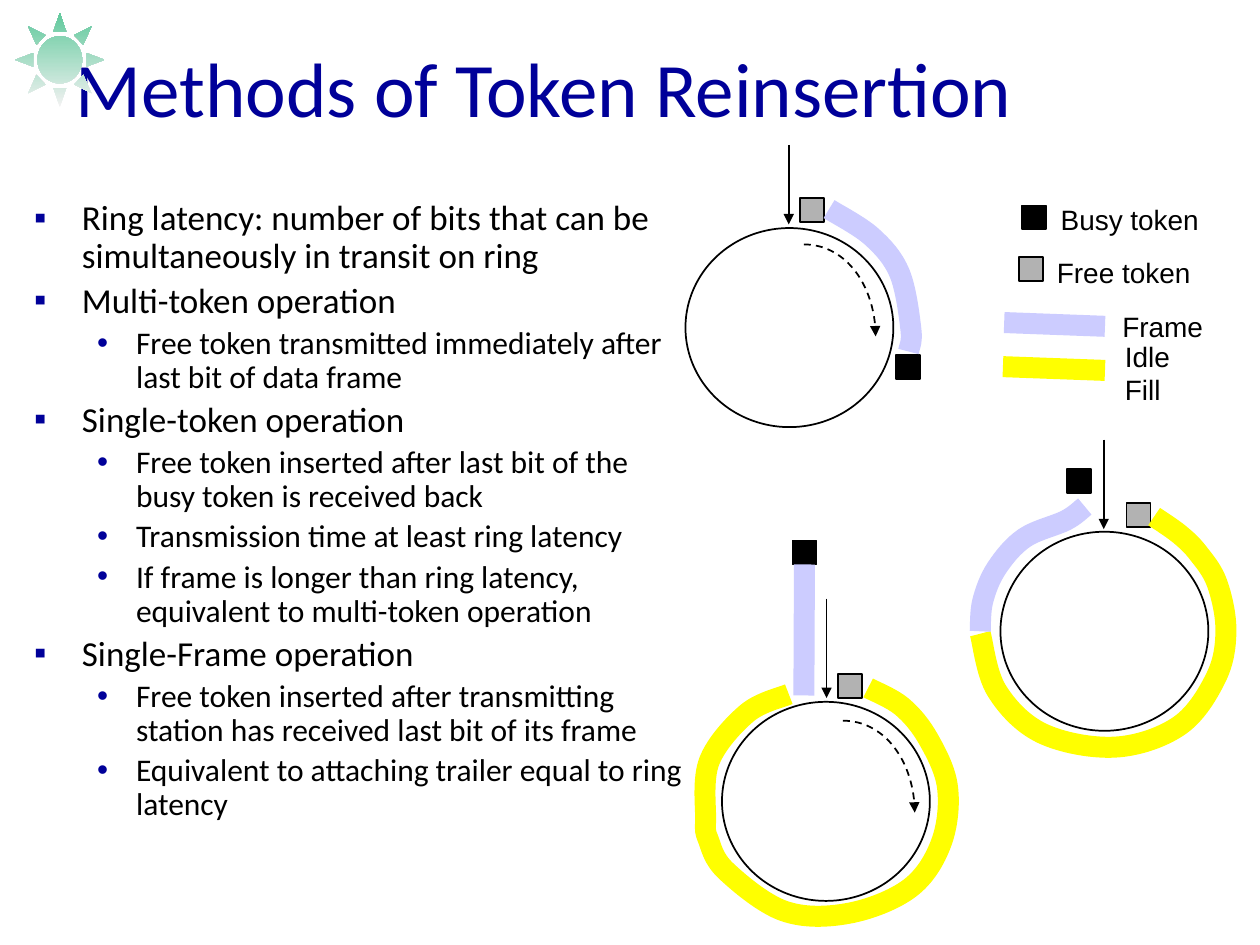
from lxml.etree import SubElement
from pptx import Presentation
from pptx.dml.color import RGBColor
from pptx.enum.dml import MSO_LINE
from pptx.enum.shapes import MSO_CONNECTOR, MSO_SHAPE
from pptx.enum.text import MSO_ANCHOR, MSO_AUTO_SIZE, PP_ALIGN
from pptx.oxml.ns import qn
from pptx.util import Inches, Pt

NAVY = RGBColor(0x00, 0x00, 0x99)
BLACK = RGBColor(0x00, 0x00, 0x00)
WHITE = RGBColor(0xFF, 0xFF, 0xFF)
GREY = RGBColor(0xB2, 0xB2, 0xB2)
LAVENDER = RGBColor(0xCC, 0xCC, 0xFF)
YELLOW = RGBColor(0xFF, 0xFF, 0x00)
PALE = RGBColor(0xF2, 0xF2, 0xF2)
GREEN = RGBColor(0x60, 0xC9, 0x9C)

TOKEN_SIZE = 0.19
RING_WIDTH, RING_HEIGHT = 1.65, 1.58
BAND_WIDTH = 12
QUARTER_ARC = 0.55

LEVELS = [("▪", 20, 0.38, 0.38), ("•", 18, 0.81, 0.31)]
BULLETS = [
    (0, "Ring latency: number of bits that can be simultaneously in transit on ring"),
    (0, "Multi-token operation"),
    (1, "Free token transmitted immediately after last bit of data frame"),
    (0, "Single-token operation"),
    (1, "Free token inserted after last bit of the busy token is received back"),
    (1, "Transmission time at least ring latency"),
    (1, "If frame is longer than ring latency, equivalent to multi-token operation"),
    (0, "Single-Frame operation"),
    (1, "Free token inserted after transmitting station has received last bit of its frame"),
    (1, "Equivalent to attaching trailer equal to ring latency"),
]

MULTI_TOKEN_FRAME = [(6.58, 1.66), (6.92, 1.88), (7.14, 2.17), (7.23, 2.62), (7.21, 2.79)]
SINGLE_TOKEN_IDLE = [(9.16, 4.1), (9.36, 4.24), (9.51, 4.39), (9.66, 4.63), (9.73, 5.01),
                     (9.65, 5.38), (9.36, 5.76), (8.85, 5.93), (8.27, 5.82), (7.91, 5.48),
                     (7.78, 5.03)]
SINGLE_TOKEN_FRAME = [(7.78, 5.01), (7.8, 4.77), (7.91, 4.51), (8.13, 4.27), (8.46, 4.13),
                      (8.61, 4.02)]
SINGLE_FRAME_IDLE = [(6.89, 5.46), (7.16, 5.61), (7.37, 5.87), (7.52, 6.25), (7.47, 6.69),
                     (7.22, 7.05), (6.73, 7.25), (6.22, 7.23), (5.76, 6.91), (5.62, 6.66),
                     (5.6, 6.5), (5.63, 6.04), (5.93, 5.66), (6.26, 5.51)]


def place(shape, left, top, width, height):
    shape.left, shape.top = Inches(left), Inches(top)
    shape.width, shape.height = Inches(width), Inches(height)


def format_font(paragraph, name, size, color):
    for run in paragraph.runs:
        run.font.name, run.font.size = name, Pt(size)
        run.font.color.rgb = color


def format_line(shape, color, width, arrow=False):
    shape.line.color.rgb = color
    shape.line.width = Pt(width)
    if arrow:
        SubElement(shape.line._get_or_add_ln(), qn("a:tailEnd"), type="triangle")


def add_title(slide, text):
    title = slide.shapes.title
    place(title, 0.5, 0.13, 8.25, 1.12)
    frame = title.text_frame
    frame.text = text
    frame.vertical_anchor = MSO_ANCHOR.MIDDLE
    frame.auto_size = MSO_AUTO_SIZE.NONE
    frame.paragraphs[0].alignment = PP_ALIGN.LEFT
    format_font(frame.paragraphs[0], "Calibri", 44, NAVY)


def add_bullets(slide, items):
    body = slide.placeholders[1]
    place(body, 0.17, 1.54, 5.38, 5.43)
    frame = body.text_frame
    frame.text = "\n".join(text for _, text in items)
    frame.auto_size = MSO_AUTO_SIZE.NONE
    for paragraph, (level, _) in zip(frame.paragraphs, items):
        character, size, margin, hanging = LEVELS[level]
        paragraph.level = level
        paragraph.line_spacing = 0.9
        paragraph.space_before = Pt(size * 0.2)
        format_font(paragraph, "Calibri", size, BLACK)
        properties = paragraph._p.get_or_add_pPr()
        properties.set("marL", str(Inches(margin)))
        properties.set("indent", str(-Inches(hanging)))
        bullet_color = SubElement(properties, qn("a:buClr"))
        SubElement(bullet_color, qn("a:srgbClr"), val=str(NAVY))
        SubElement(properties, qn("a:buFont"), typeface="Arial")
        SubElement(properties, qn("a:buChar"), char=character)


def add_outlined(slide, preset, left, top, width, height, fill):
    shape = slide.shapes.add_shape(
        preset, Inches(left), Inches(top), Inches(width), Inches(height))
    shape.shadow.inherit = False
    shape.fill.solid()
    shape.fill.fore_color.rgb = fill
    format_line(shape, BLACK, 1)
    return shape


def add_token(slide, left, top, fill):
    return add_outlined(slide, MSO_SHAPE.RECTANGLE, left, top, TOKEN_SIZE, TOKEN_SIZE, fill)


def add_line(slide, start, end, color, width, arrow=False):
    line = slide.shapes.add_connector(
        MSO_CONNECTOR.STRAIGHT, *(Inches(value) for value in (*start, *end)))
    format_line(line, color, width, arrow)
    SubElement(line._element.spPr, qn("a:effectLst"))
    return line


def smooth_points(points):
    padded = [points[0], *points, points[-1]]
    result = [points[0]]
    for before, start, end, after in zip(padded, padded[1:], padded[2:], padded[3:]):
        result.append(tuple(b + (c - a) / 6 for a, b, c in zip(before, start, end)))
        result.append(tuple(c - (d - b) / 6 for b, c, d in zip(start, end, after)))
        result.append(end)
    return result


def add_curve(slide, points, color, width, arrow=False):
    vertices = [(Inches(x), Inches(y)) for x, y in points]
    builder = slide.shapes.build_freeform(*vertices[0])
    builder.add_line_segments(vertices[1:], close=False)
    curve = builder.convert_to_shape()
    outline = next(curve._element.iter(qn("a:path")))
    segments = outline.findall(qn("a:lnTo"))
    for index in range(0, len(segments), 3):
        bezier = SubElement(outline, qn("a:cubicBezTo"))
        for segment in segments[index:index + 3]:
            bezier.append(segment[0])
            outline.remove(segment)
    curve.shadow.inherit = False
    curve.fill.background()
    if arrow:
        curve.line.dash_style = MSO_LINE.DASH
    format_line(curve, color, width, arrow)


def add_band(slide, points, color):
    add_curve(slide, smooth_points(points), color, BAND_WIDTH)


def add_rotation_arrow(slide, left, top, width=0.57, height=0.73):
    right, bottom = left + width, top + height
    points = [(left, top), (left + width * QUARTER_ARC, top),
              (right, bottom - height * QUARTER_ARC), (right, bottom)]
    add_curve(slide, points, BLACK, 1, arrow=True)


def add_ring(slide, left, top, arrow_x, arrow_top, arrow_bottom, busy, free):
    add_outlined(slide, MSO_SHAPE.OVAL, left, top, RING_WIDTH, RING_HEIGHT, WHITE)
    add_line(slide, (arrow_x, arrow_top), (arrow_x, arrow_bottom), BLACK, 1, arrow=True)
    busy_token = add_token(slide, *busy, BLACK)
    add_token(slide, *free, GREY)
    return busy_token


def add_label(slide, text, left, top, width, wrap=False):
    box = slide.shapes.add_textbox(Inches(left), Inches(top), Inches(width), Inches(0.36))
    frame = box.text_frame
    frame.text = text
    frame.word_wrap = wrap
    frame.vertical_anchor = MSO_ANCHOR.MIDDLE
    format_font(frame.paragraphs[0], "Arial", 16, BLACK)


def add_legend(slide):
    add_token(slide, 8.09, 2.04, GREY)
    add_token(slide, 8.11, 1.63, BLACK)
    add_label(slide, "Busy token", 8.32, 1.56, 1.3)
    add_label(slide, "Free token", 8.29, 1.98, 1.26)
    add_line(slide, (7.97, 2.56), (8.77, 2.59), LAVENDER, BAND_WIDTH)
    add_label(slide, "Frame", 8.81, 2.41, 0.84)
    add_line(slide, (7.96, 2.91), (8.77, 2.94), YELLOW, BAND_WIDTH)
    add_label(slide, "Idle Fill", 8.83, 2.78, 0.87, wrap=True)


def add_sun(slide):
    sun = add_outlined(slide, MSO_SHAPE.SUN, 0.12, 0.1, 0.71, 0.75, GREEN)
    sun.line.fill.background()
    sun.fill.gradient()
    sun.fill.gradient_angle = 90
    for stop, color in zip(sun.fill.gradient_stops, (PALE, GREEN)):
        stop.color.rgb = color


def main():
    presentation = Presentation()
    presentation.slide_width, presentation.slide_height = Inches(10), Inches(7.5)
    slide = presentation.slides.add_slide(presentation.slide_layouts[1])
    add_title(slide, "Methods of Token Reinsertion")
    add_bullets(slide, BULLETS)
    add_legend(slide)

    add_ring(slide, 5.44, 1.81, 6.26, 1.15, 1.78, busy=(7.11, 2.82), free=(6.35, 1.57))
    add_rotation_arrow(slide, 6.38, 1.94)
    add_band(slide, MULTI_TOKEN_FRAME, LAVENDER)

    add_ring(slide, 7.94, 4.22, 8.76, 3.49, 4.2, busy=(8.47, 3.72), free=(8.94, 3.99))
    add_band(slide, SINGLE_TOKEN_IDLE, YELLOW)
    add_band(slide, SINGLE_TOKEN_FRAME, LAVENDER)

    busy = add_ring(slide, 5.73, 5.57, 6.56, 4.75, 5.54, busy=(6.29, 4.29), free=(6.65, 5.35))
    add_rotation_arrow(slide, 6.69, 5.72)
    frame = add_line(slide, (6.38, 4.5), (6.38, 5.52), LAVENDER, BAND_WIDTH)
    frame.begin_connect(busy, 2)
    add_band(slide, SINGLE_FRAME_IDLE, YELLOW)

    add_sun(slide)
    presentation.save("out.pptx")


if __name__ == "__main__":
    main()
